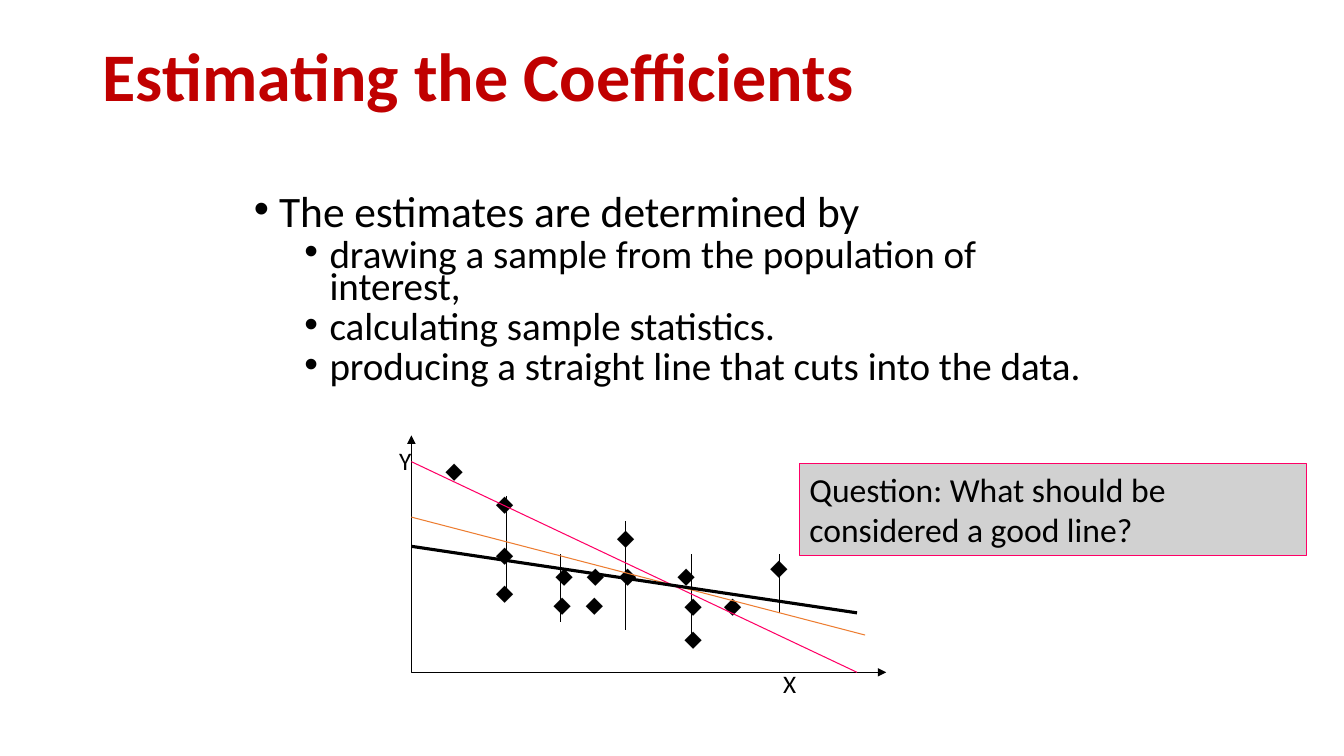
import pptx
import pptx.util
import pptx.dml.color
import pptx.enum.shapes
import pptx.enum.text
import pptx.oxml.ns
import lxml.etree

PX = 9144
BLACK = "000000"
PINK = "FF0066"


def color(value):
    return pptx.dml.color.RGBColor.from_string(value)


def add_text(paragraph, text, size, font="Calibri", ink=BLACK, bold=False):
    run = paragraph.add_run()
    run.text = text
    run.font.size = pptx.util.Pt(size)
    run.font.name = font
    run.font.color.rgb = color(ink)
    run.font.bold = bold


presentation = pptx.Presentation()
presentation.slide_width = 1333 * PX
presentation.slide_height = 750 * PX
slide = presentation.slides.add_slide(presentation.slide_layouts[6])
shapes = slide.shapes

title = shapes.add_textbox(92 * PX, 40 * PX, 1150 * PX, 77 * PX).text_frame
title.word_wrap = True
title.vertical_anchor = pptx.enum.text.MSO_ANCHOR.MIDDLE
title.paragraphs[0].line_spacing = 0.9
add_text(title.paragraphs[0], "Estimating the Coefficients", 48.6, ink="C00000", bold=True)

body = shapes.add_textbox(242 * PX, 192 * PX, 850 * PX, 233 * PX).text_frame
body.word_wrap = True
bullets = [
    (0, "The estimates are determined by"),
    (1, "drawing a sample from the population of interest,"),
    (1, "calculating sample statistics."),
    (1, "producing a straight line that cuts into the data."),
]
for index, (level, text) in enumerate(bullets):
    paragraph = body.add_paragraph() if index else body.paragraphs[0]
    paragraph.level = level
    paragraph.line_spacing = 0.7
    paragraph.space_before = pptx.util.Pt((10, 5)[level])
    properties = paragraph._p.get_or_add_pPr()
    properties.set("marL", str((25 + 50 * level) * PX))
    properties.set("indent", str(-25 * PX))
    bullet_font = lxml.etree.SubElement(properties, pptx.oxml.ns.qn("a:buFont"))
    bullet_font.set("typeface", "Arial")
    bullet = lxml.etree.SubElement(properties, pptx.oxml.ns.qn("a:buChar"))
    bullet.set("char", "•")
    add_text(paragraph, text, (31, 27.9)[level])

builder = shapes.build_freeform(408 * PX, 432 * PX)
builder.add_line_segments([(408 * PX, 667 * PX), (879 * PX, 667 * PX)], close=False)
axes = builder.convert_to_shape()
axes.shadow.inherit = False
axes.fill.background()
axes.line.color.rgb = color(BLACK)
axes.line.width = pptx.util.Pt(0.75)
for end in ("a:headEnd", "a:tailEnd"):
    arrowhead = lxml.etree.SubElement(axes.line._get_or_add_ln(), pptx.oxml.ns.qn(end))
    arrowhead.set("type", "triangle")

points = [
    (432, 446), (482, 479), (482, 529), (482, 567),
    (541, 550), (572, 550), (604, 550), (662, 550),
    (602, 512), (669, 580), (708, 580), (754, 542),
    (539, 579), (571, 579), (669, 612),
]
labels = [("⬥", "Arial", 35, left, top) for left, top in points]
labels += [("X", "Calibri", 34, 767, 658), ("Y", "Calibri", 32, 386, 437)]
for text, font, width, left, top in labels:
    label = shapes.add_textbox(left * PX, top * PX, width * PX, 40 * PX).text_frame
    label.word_wrap = False
    label.auto_size = pptx.enum.text.MSO_AUTO_SIZE.SHAPE_TO_FIT_TEXT
    add_text(label.paragraphs[0], text, 18, font)

residuals = [(502, 492, 592), (556, 550, 617), (620, 517, 625), (686, 550, 642), (773, 550, 608)]
lines = [(x, top, x, bottom, BLACK, 0.75) for x, top, bottom in residuals]
lines += [
    (408, 513, 858, 630, "ED7D31", 0.75),
    (408, 458, 850, 667, PINK, 0.75),
    (408, 542, 850, 608, BLACK, 2.25),
]
for x1, y1, x2, y2, ink, width in lines:
    line = shapes.add_connector(
        pptx.enum.shapes.MSO_CONNECTOR.STRAIGHT, x1 * PX, y1 * PX, x2 * PX, y2 * PX)
    line.line.color.rgb = color(ink)
    line.line.width = pptx.util.Pt(width)
    lxml.etree.SubElement(line._element.spPr, pptx.oxml.ns.qn("a:effectLst"))

question = shapes.add_shape(
    pptx.enum.shapes.MSO_SHAPE.RECTANGLE, 793 * PX, 460 * PX, 503 * PX, 91 * PX)
question.shadow.inherit = False
question.fill.solid()
question.fill.fore_color.rgb = color("D1D1D1")
question.line.color.rgb = color(PINK)
question.line.width = pptx.util.Pt(0.75)
question.text_frame.word_wrap = True
question.text_frame.auto_size = pptx.enum.text.MSO_AUTO_SIZE.SHAPE_TO_FIT_TEXT
question.text_frame.vertical_anchor = pptx.enum.text.MSO_ANCHOR.TOP
paragraph = question.text_frame.paragraphs[0]
paragraph.alignment = pptx.enum.text.PP_ALIGN.LEFT
add_text(paragraph, "Question: What should be ", 24)
paragraph.add_line_break()
add_text(paragraph, "considered a good line?", 24)

presentation.save("out.pptx")
